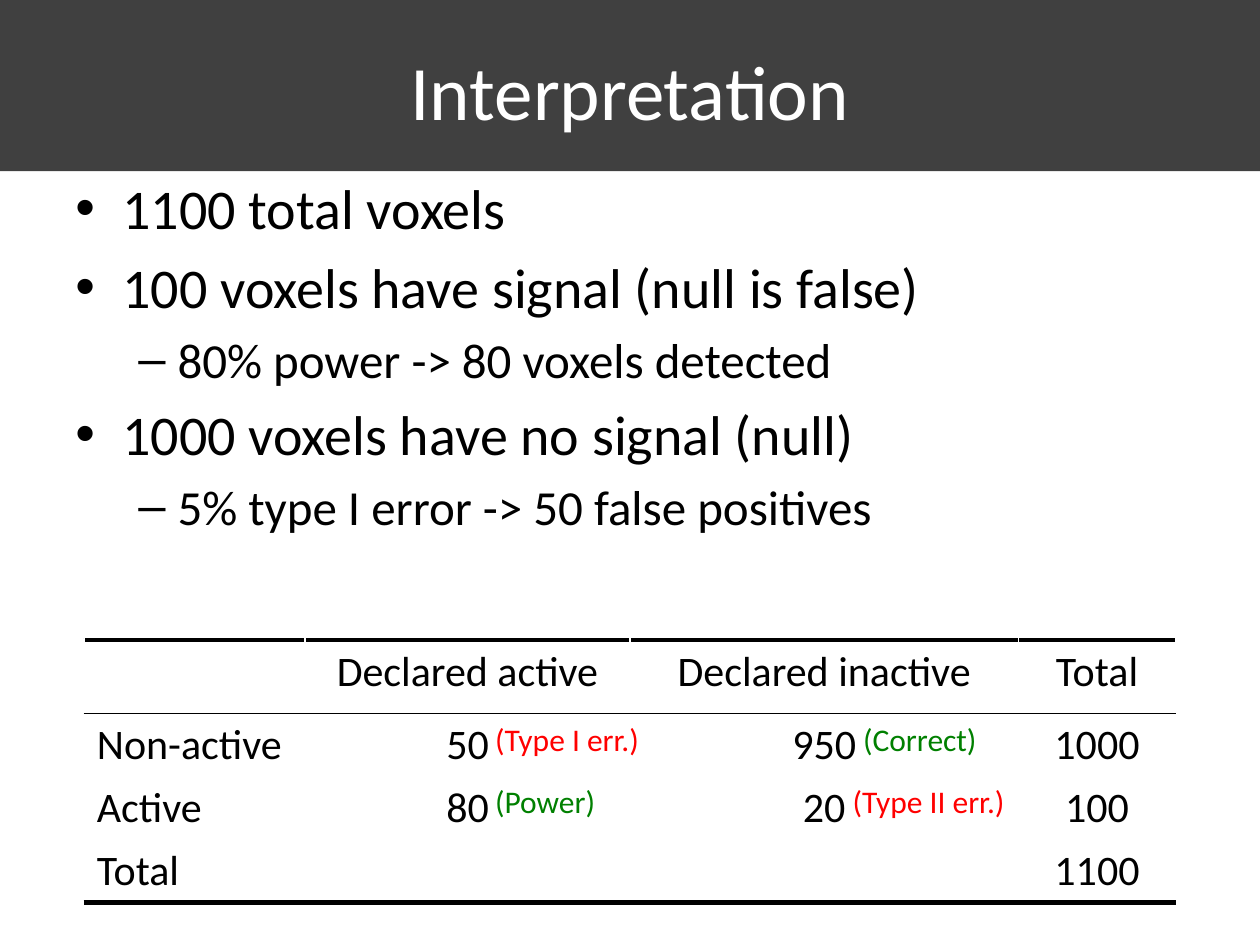
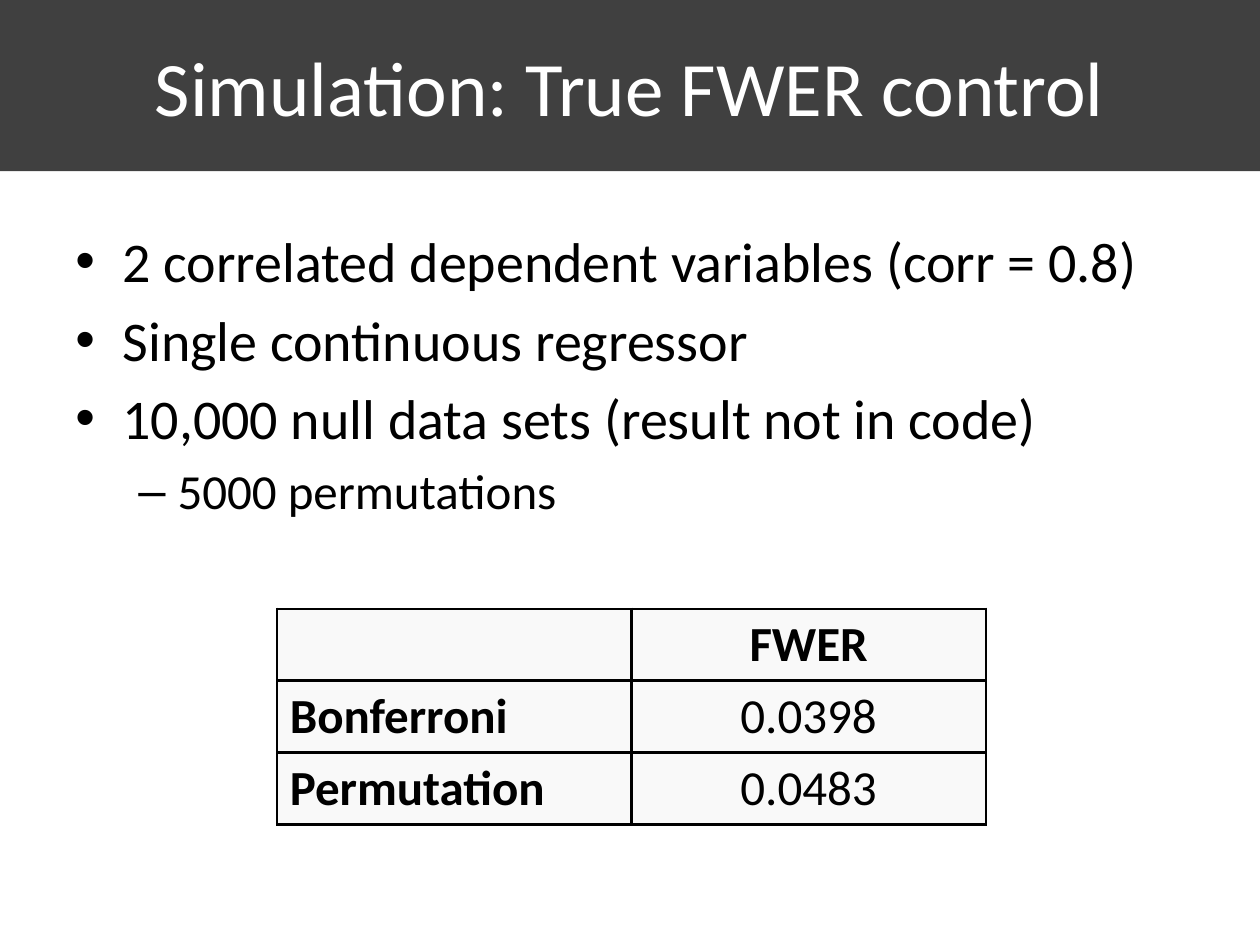
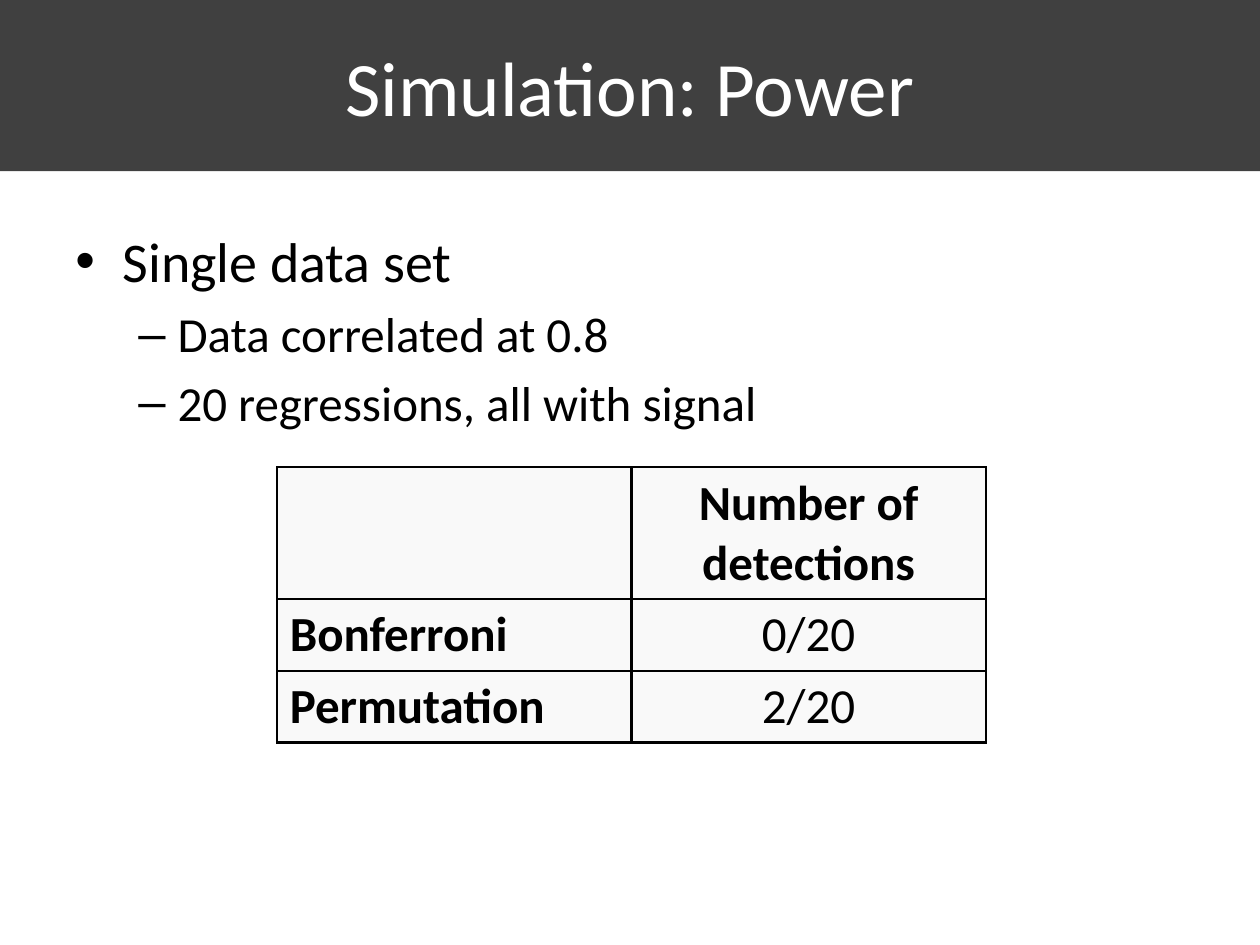
import pptx
import pptx.util
import pptx.dml.color
import pptx.enum.shapes
import pptx.enum.text
import pptx.oxml.ns
from lxml import etree

Cm, Pt = pptx.util.Cm, pptx.util.Pt
qn = pptx.oxml.ns.qn
ALIGN = pptx.enum.text.PP_ALIGN
ANCHOR = pptx.enum.text.MSO_ANCHOR

HUES = {"band": "404040", "ink": "000000", "paper": "FFFFFF",
        "cell": "F9F9F9", "good": "008000", "bad": "FF0000"}

# Bullet levels: sign, text size, left margin and hanging indent in cm
LEVELS = [("•", 32, 0.95, 0.95), ("–", 28, 2.06, 0.79)]


def hue(name):
    return pptx.dml.color.RGBColor.from_string(HUES[name])


class Deck:
    """Holds the style and the current slide."""
    font = "Calibri"
    left, width = 1.27, 22.86

    def __init__(self):
        self.prs = pptx.Presentation()
        self.prs.slide_width, self.prs.slide_height = Cm(25.4), Cm(19.05)
        self.layout = self.prs.slide_layouts[5]
        self.slide = None

    def style(self, para, size, color="ink", bold=False, align=ALIGN.LEFT):
        para.alignment = align
        for run in para.runs:
            run.font.name, run.font.size = self.font, Pt(size)
            run.font.bold = bold
            run.font.color.rgb = hue(color)

    def band(self):
        """Draw the title band once and move it to the shared layout."""
        rect = pptx.enum.shapes.MSO_SHAPE.RECTANGLE
        band = self.slide.shapes.add_shape(
            rect, 0, 0, self.prs.slide_width, Cm(3.45))
        band.shadow.inherit = False
        band.fill.solid()
        band.fill.fore_color.rgb = hue("band")
        band.line.fill.background()
        self.layout.placeholders[0].element.addprevious(band.element)

    def page(self, text, top=0.13, anchor=ANCHOR.MIDDLE):
        first = self.slide is None
        self.slide = self.prs.slides.add_slide(self.layout)
        if first:
            self.band()
        title = self.slide.shapes.title
        title.left, title.top = Cm(self.left), Cm(top)
        title.width, title.height = Cm(self.width), Cm(3.18)
        frame = title.text_frame
        frame.text = text
        frame.vertical_anchor = anchor
        self.style(frame.paragraphs[0], 44, "paper", align=ALIGN.CENTER)

    def box(self, left, top, width, height):
        frame = self.slide.shapes.add_textbox(
            Cm(left), Cm(top), Cm(width), Cm(height)).text_frame
        frame.word_wrap = True
        return frame

    def list(self, items, top=4.45):
        frame = self.box(self.left, top, self.width, 12.57)
        for i, (level, text) in enumerate(items):
            para = frame.add_paragraph() if i else frame.paragraphs[0]
            para.text, para.level = text, level
            sign, size, margin, hang = LEVELS[level]
            self.style(para, size)
            props = para._p.get_or_add_pPr()
            props.set("marL", str(Cm(margin)))
            props.set("indent", str(-Cm(hang)))
            gap = etree.SubElement(props, qn("a:spcBef"))
            etree.SubElement(gap, qn("a:spcPct"), val="20000")
            etree.SubElement(props, qn("a:buFont"), typeface="Arial")
            etree.SubElement(props, qn("a:buChar"), char=sign)

    def note(self, text, left, top, color):
        frame = self.box(left, top, 5.72, 1.3)
        frame.text = text
        self.style(frame.paragraphs[0], 18, color)

    def edge(self, cell, lines):
        """Set cell borders, given as (colour, points) for L, R, T and B."""
        props = cell._tc.get_or_add_tcPr()
        for i, (side, (color, width)) in enumerate(zip("LRTB", lines)):
            line = etree.Element(qn("a:ln" + side), w=str(Pt(width)))
            fill = etree.SubElement(line, qn("a:solidFill"))
            etree.SubElement(fill, qn("a:srgbClr"), val=HUES[color])
            props.insert(i, line)

    def table(self, data, left, top, cols, rows, size, fill, rules, bold=False):
        """Rules holds the side line, then the lines above and below each row."""
        side, flat = rules
        grid = self.slide.shapes.add_table(
            len(rows), len(cols), Cm(left), Cm(top),
            Cm(sum(cols)), Cm(sum(rows))).table
        grid.first_row = grid.horz_banding = False
        for col, width in zip(grid.columns, cols):
            col.width = Cm(width)
        for r, texts in enumerate(data):
            grid.rows[r].height = Cm(rows[r])
            for c, text in enumerate(texts):
                cell = grid.cell(r, c)
                cell.fill.solid()
                cell.fill.fore_color.rgb = hue(fill)
                self.edge(cell, (side, side, flat[r], flat[r + 1]))
                if text:
                    cell.text_frame.text = text
                    self.style(cell.text_frame.paragraphs[0], size,
                               bold=bold and 0 in (r, c),
                               align=ALIGN.CENTER if c else ALIGN.LEFT)

    def score(self, head, values, top, tall=1.45):
        """Compare both methods in a boxed table."""
        names = ("Bonferroni", "Permutation")
        line = ("ink", 1.5)
        self.table([("", head), *zip(names, values)], 5.59, top,
                   [7.14] * 2, [tall, 1.45, 1.45], 28, "cell",
                   (line, [line] * 4), bold=True)


def main():
    deck = Deck()

    # Interpretation
    deck.page("Interpretation", 0.76, ANCHOR.TOP)
    deck.list([(0, "1100 total voxels"),
               (0, "100 voxels have signal (null is false)"),
               (1, "80% power -> 80 voxels detected"),
               (0, "1000 voxels have no signal (null)"),
               (1, "5% type I error -> 50 false positives")], 3.38)
    thick, thin, blank = ("ink", 3), ("ink", 1), ("paper", 1)
    deck.table([("", "Declared active", "Declared inactive", "Total"),
                ("Non-active", "50", "950", "1000"),
                ("Active", "80", "20", "100"),
                ("Total", "", "", "1100")],
               1.7, 12.9, [4.45, 6.55, 7.83, 3.17], [1.48] + [1.22] * 3,
               24, "paper", (blank, [thick, thin, blank, blank, thick]))
    for text, left, top, color in [("(Power)", 9.73, 15.65, "good"),
                                   ("(Type II err.)", 16.94, 15.65, "bad"),
                                   ("(Type I err.)", 9.73, 14.4, "bad"),
                                   ("(Correct)", 17.15, 14.4, "good")]:
        deck.note(text, left, top, color)

    # Error control
    deck.page("Simulation: True FWER control")
    deck.list([(0, "2 correlated dependent variables (corr = 0.8)"),
               (0, "Single continuous regressor"),
               (0, "10,000 null data sets (result not in code)"),
               (1, "5000 permutations")])
    deck.score("FWER", ("0.0398", "0.0483"), 12.27)

    # Power
    deck.page("Simulation: Power")
    deck.list([(0, "Single data set"),
               (1, "Data correlated at 0.8"),
               (1, "20 regressions, all with signal")])
    deck.score("Number of detections", ("0/20", "2/20"), 9.42, 2.65)

    deck.prs.save("out.pptx")


if __name__ == "__main__":
    main()
